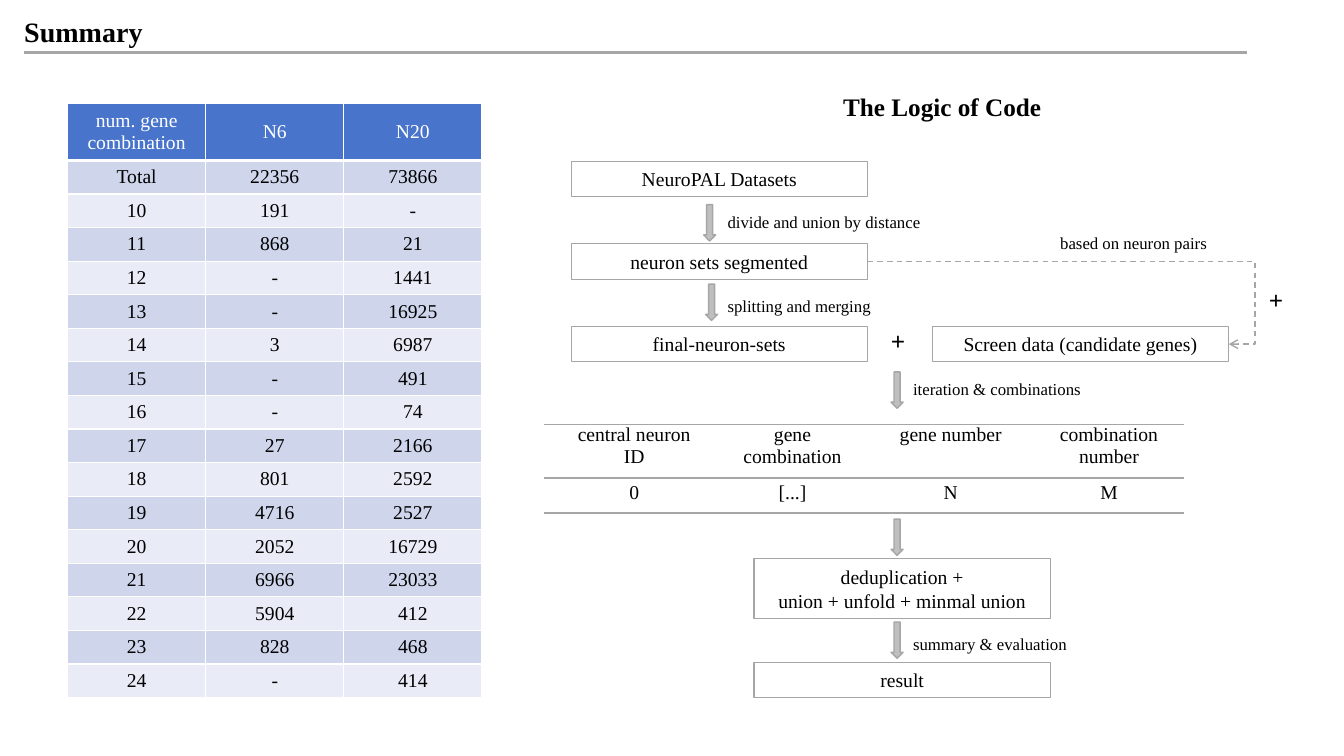
from dataclasses import dataclass

import lxml.etree
import pptx
import pptx.dml.color
import pptx.enum.dml
import pptx.enum.shapes
import pptx.enum.text
import pptx.oxml.ns
import pptx.util

Pt = pptx.util.Pt
qn = pptx.oxml.ns.qn
ALIGN = pptx.enum.text.PP_ALIGN
ANCHOR = pptx.enum.text.MSO_ANCHOR
SHAPE = pptx.enum.shapes.MSO_SHAPE
CONNECTOR = pptx.enum.shapes.MSO_CONNECTOR


@dataclass(frozen=True)
class Theme:
    font: str = "Times New Roman"
    text: str = "000000"
    white: str = "FFFFFF"
    header: str = "4874CB"
    bands: tuple = ("CFD6EC", "E9EBF6")
    rule: str = "A6A6A6"
    arrow: str = "BFBFBF"
    title_size: float = 20
    heading_size: float = 18
    body_size: float = 14
    label_size: float = 12


@dataclass(frozen=True)
class Box:
    left: float
    top: float
    width: float
    height: float

    def inner(self, left, top, width, height):
        return Box(self.left + left, self.top + top, width, height)

    def emu(self):
        return Pt(self.left), Pt(self.top), Pt(self.width), Pt(self.height)


THEME = Theme()
COUNTS = [
    ("num. gene combination", "N6", "N20"),
    ("Total", "22356", "73866"),
    ("10", "191", "-"),
    ("11", "868", "21"),
    ("12", "-", "1441"),
    ("13", "-", "16925"),
    ("14", "3", "6987"),
    ("15", "-", "491"),
    ("16", "-", "74"),
    ("17", "27", "2166"),
    ("18", "801", "2592"),
    ("19", "4716", "2527"),
    ("20", "2052", "16729"),
    ("21", "6966", "23033"),
    ("22", "5904", "412"),
    ("23", "828", "468"),
    ("24", "-", "414"),
]
RESULT_FORMAT = [
    ("central neuron ID", "gene combination", "gene number", "combination number"),
    ("0", "[...]", "N", "M"),
]


def rgb(color):
    return pptx.dml.color.RGBColor.from_string(color)


def write(text_frame, text, size, color=THEME.text, bold=False, align=ALIGN.LEFT):
    text_frame.text = text
    for paragraph in text_frame.paragraphs:
        paragraph.alignment = align
        for run in paragraph.runs:
            run.font.name = THEME.font
            run.font.size = Pt(size)
            run.font.bold = bold
            run.font.color.rgb = rgb(color)


def add_label(slide, box, text, size=THEME.label_size, bold=False, align=ALIGN.LEFT):
    text_frame = slide.shapes.add_textbox(*box.emu()).text_frame
    text_frame.word_wrap = True
    write(text_frame, text, size, bold=bold, align=align)


def add_outlined(slide, kind, box, line_width):
    shape = slide.shapes.add_shape(kind, *box.emu())
    shape.shadow.inherit = False
    shape.fill.background()
    shape.line.color.rgb = rgb(THEME.rule)
    shape.line.width = Pt(line_width)
    return shape


def add_step(slide, box, text):
    shape = add_outlined(slide, SHAPE.RECTANGLE, box, 0.75)
    write(shape.text_frame, text, THEME.body_size, align=ALIGN.CENTER)


def add_down_arrow(slide, box):
    shape = add_outlined(slide, SHAPE.DOWN_ARROW, box, 1)
    shape.fill.solid()
    shape.fill.fore_color.rgb = rgb(THEME.arrow)


def add_line(slide, start, end, width=1, kind=CONNECTOR.STRAIGHT):
    line = slide.shapes.add_connector(kind, *(Pt(value) for value in start + end))
    line.line.color.rgb = rgb(THEME.rule)
    line.line.width = Pt(width)
    lxml.etree.SubElement(line._element.spPr, qn("a:effectLst"))
    return line


def add_dashed_elbow(slide, start, end, bend):
    """Bend lies at the given share of the distance from start to end."""
    elbow = add_line(slide, start, end, kind=CONNECTOR.ELBOW)
    elbow.line.dash_style = pptx.enum.dml.MSO_LINE.DASH
    properties = elbow._element.spPr
    lxml.etree.SubElement(properties.find(qn("a:ln")), qn("a:tailEnd"), type="arrow")
    guides = properties.find(qn("a:prstGeom")).get_or_add_avLst()
    lxml.etree.SubElement(guides, qn("a:gd"), name="adj1", fmla=f"val {round(bend * 100000)}")


def set_borders(cell, top, bottom):
    properties = cell._tc.get_or_add_tcPr()
    for index, (side, width) in enumerate((("L", 1), ("R", 1), ("T", top), ("B", bottom))):
        border = lxml.etree.Element(qn(f"a:ln{side}"), w=str(Pt(width)))
        fill = lxml.etree.SubElement(border, qn("a:solidFill"))
        lxml.etree.SubElement(fill, qn("a:srgbClr"), val=THEME.white)
        properties.insert(index, border)


def add_grid(slide, box, rows, header_height, fills, header_color, anchor):
    """Fills gives the colour of each row, or None for no fill."""
    table = slide.shapes.add_table(len(rows), len(rows[0]), *box.emu()).table
    for column in table.columns:
        column.width = Pt(box.width / len(rows[0]))
    body_height = (box.height - header_height) / (len(rows) - 1)
    for index, values in enumerate(rows):
        table.rows[index].height = Pt(body_height if index else header_height)
        for cell, value in zip(table.rows[index].cells, values):
            color = THEME.text if index else header_color
            write(cell.text_frame, value, THEME.body_size, color, align=ALIGN.CENTER)
            cell.vertical_anchor = anchor
            if fills[index]:
                cell.fill.solid()
                cell.fill.fore_color.rgb = rgb(fills[index])
            else:
                cell.fill.background()
            set_borders(cell, 3 if index == 1 else 1, 1 if index else 3)


def add_title(slide, box):
    title = slide.shapes.title
    title.left, title.top, title.width, title.height = box.inner(-7.2, 0, 506, 31.7).emu()
    title.text_frame.auto_size = pptx.enum.text.MSO_AUTO_SIZE.NONE
    title.text_frame.vertical_anchor = ANCHOR.MIDDLE
    write(title.text_frame, "Summary", THEME.title_size, bold=True)
    bottom = box.top + box.height
    add_line(slide, (box.left, bottom), (box.left + box.width, bottom), 1.5)


def add_counts(slide, box):
    fills = [THEME.header] + [THEME.bands[index % 2] for index in range(len(COUNTS) - 1)]
    add_grid(slide, box, COUNTS, 41, fills, THEME.white, ANCHOR.MIDDLE)


def add_result_format(slide, box):
    add_grid(slide, box.inner(7.7, -3.6, 452.2, 65), RESULT_FORMAT, 41, (None, None),
             THEME.text, ANCHOR.TOP)
    for offset in (0, 38.2, box.height):
        top = box.top + offset
        add_line(slide, (box.left, top), (box.left + box.width, top))


def add_code_logic(slide, box):
    step_width, step_height = 211.7, 25.2
    left, right, lower = 19.2, 277.2, 149.8
    first_top, pitch = 53.3, 59
    second_top, third_top = first_top + pitch, first_top + 2 * pitch
    add_label(slide, box.inner(178.4, 0, step_width, 28.8), "The Logic of Code",
              THEME.heading_size, True, ALIGN.CENTER)
    add_result_format(slide, box.inner(0, 241.2, 457.2, 63.4))
    for x, y, height, text in (
        (left, first_top, step_height, "NeuroPAL Datasets"),
        (left, second_top, step_height, "neuron sets segmented"),
        (left, third_top, step_height, "final-neuron-sets"),
        (right, third_top, step_height, "Screen data (candidate genes)"),
        (lower, 337, 43.2, "deduplication +\nunion + unfold + minmal union"),
        (lower, 411.1, step_height, "result"),
    ):
        add_step(slide, box.inner(x, y, step_width, height), text)
    for x, y in ((113.8, 84.3), (115.2, 141.1), (247.7, 203.8), (247.7, 308.9), (247.7, 382.4)):
        add_down_arrow(slide, box.inner(x, y, 8.6, 25.9))
    for x, y, text in (
        (123.8, 85.7, "divide and union by distance"),
        (123.8, 145.5, "splitting and merging"),
        (256.3, 205.2, "iteration & combinations"),
        (256.3, 387.4, "summary & evaluation"),
        (361.4, 100.8, "based on neuron pairs"),
    ):
        add_label(slide, box.inner(x, y, 152.6, 18), text)
    for x, y in ((240.5, 167), (510.5, 137.5)):
        add_label(slide, box.inner(x, y, 30.2, 28.8), "+", THEME.heading_size, True)
    middle = box.top + step_height / 2
    add_dashed_elbow(slide, (box.left + left + step_width, middle + second_top),
                     (box.left + right + step_width, middle + third_top), 1.073)


def main():
    presentation = pptx.Presentation()
    presentation.slide_width, presentation.slide_height = Pt(960), Pt(540)
    slide = presentation.slides.add_slide(presentation.slide_layouts[5])
    add_title(slide, Box(17.3, 6.5, 873.4, 31))
    add_counts(slide, Box(48.3, 73.6, 296, 425))
    add_code_logic(slide, Box(388.8, 61.9, 540, 436.3))
    presentation.save("out.pptx")


if __name__ == "__main__":
    main()
